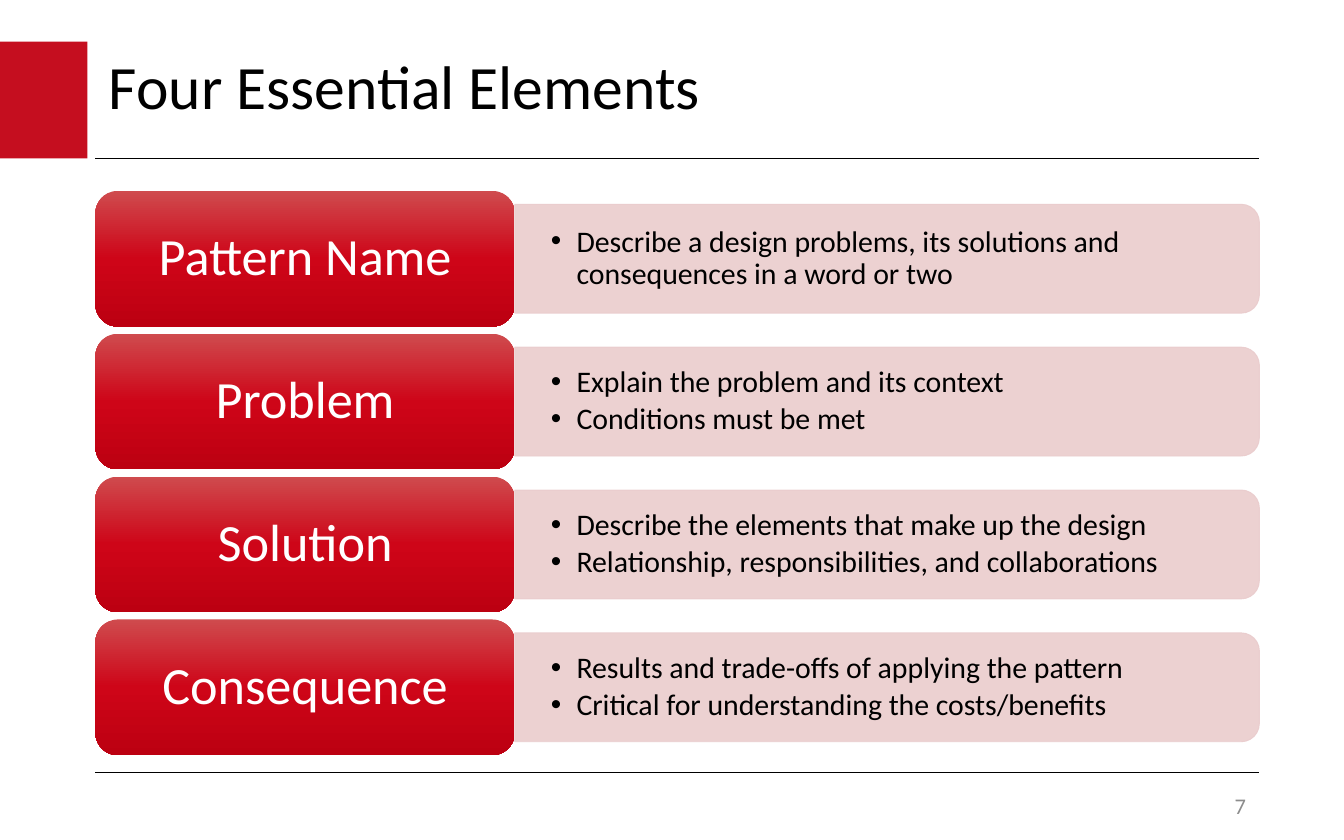
from pptx import Presentation
from pptx.dml.color import RGBColor
from pptx.enum.shapes import MSO_CONNECTOR as CONNECTOR, MSO_SHAPE as SHAPE
from pptx.enum.text import MSO_ANCHOR as ANCHOR, PP_ALIGN as ALIGN
from pptx.oxml import parse_xml
from pptx.oxml.ns import nsdecls
from pptx.util import Inches, Pt
from lxml.etree import SubElement

TITLE = "Four Essential Elements"
PAGE_NUMBER = "7"
ELEMENTS = [
    ("Pattern Name", ["Describe a design problems, its solutions and consequences in a word or two"]),
    ("Problem", ["Explain the problem and its context", "Conditions must be met"]),
    ("Solution", ["Describe the elements that make up the design",
                  "Relationship, responsibilities, and collaborations"]),
    ("Consequence", ["Results and trade-offs of applying the pattern",
                     "Critical for understanding the costs/benefits"]),
]
COLORS = {"accent": "C50E1F", "text": "000000", "label": "FFFFFF", "bar": "EACCCD", "number": "8C8C8C"}
LABEL_GRADIENT = [(0, "CF4B4E"), (50, "CE0518"), (100, "BC0011")]
FONT = "Calibri"

LEFT, RIGHT = 0.71, 9.37
FIRST_TOP, ROW_STEP = 1.42, 1.063
LABEL_WIDTH, LABEL_HEIGHT = 3.12, 1.01
BAR_HEIGHT, DETAIL_HEIGHT = 0.81, 0.73


def rgb(name):
    """Return the named colour."""
    return RGBColor.from_string(COLORS[name])


def write(shape, lines, size, color, align=ALIGN.LEFT, spacing=0.9, after=0,
          bullet=False, insets=(0.1, 0.05)):
    """Fill a shape with paragraphs in one format."""
    frame = shape.text_frame
    frame.word_wrap = True
    frame.vertical_anchor = ANCHOR.MIDDLE
    frame.margin_left = frame.margin_right = Inches(insets[0])
    frame.margin_top = frame.margin_bottom = Inches(insets[1])
    for index, line in enumerate(lines):
        para = frame.paragraphs[0] if index == 0 else frame.add_paragraph()
        para.alignment, para.line_spacing, para.space_after = align, spacing, Pt(after)
        span = para.add_run()
        span.text = line
        span.font.name, span.font.size = FONT, Pt(size)
        span.font.color.rgb = rgb(color)
        if bullet:
            props = para._p.get_or_add_pPr()
            props.set("marL", str(Inches(0.19)))
            props.set("indent", str(-Inches(0.19)))
            props.append(parse_xml(f'<a:buFont {nsdecls("a")} typeface="Arial"/>'))
            props.append(parse_xml(f'<a:buChar {nsdecls("a")} char="•"/>'))


def add_box(page, kind, left, top, width, height, color):
    """Add a flat shape without an outline."""
    box = page.shapes.add_shape(kind, Inches(left), Inches(top), Inches(width), Inches(height))
    box.shadow.inherit = False
    box.fill.solid()
    box.fill.fore_color.rgb = rgb(color)
    box.line.fill.background()
    return box


def add_text(page, left, top, width, height, lines, **style):
    """Add a text box."""
    box = page.shapes.add_textbox(Inches(left), Inches(top), Inches(width), Inches(height))
    write(box, lines, **style)


def add_rule(page, y):
    """Add a thin line across the content width."""
    rule = page.shapes.add_connector(CONNECTOR.STRAIGHT, Inches(LEFT), Inches(y), Inches(RIGHT), Inches(y))
    rule.line.color.rgb, rule.line.width = rgb("text"), Pt(0.75)
    rule._element.spPr.append(parse_xml(f'<a:effectLst {nsdecls("a")}/>'))


def shade(box):
    """Replace the fill with the vertical label gradient."""
    stops = "".join(f'<a:gs pos="{place * 1000}"><a:srgbClr val="{color}"/></a:gs>'
                    for place, color in LABEL_GRADIENT)
    gradient = parse_xml(f'<a:gradFill {nsdecls("a")} rotWithShape="1"><a:gsLst>{stops}</a:gsLst>'
                         '<a:lin ang="5400000" scaled="0"/></a:gradFill>')
    props = box._element.spPr
    solid = props.find(".//{*}solidFill")
    props.replace(solid, gradient)


def add_element(page, top, label, details):
    """Add one row: detail bar, its bullets and the label."""
    middle = top + LABEL_HEIGHT / 2
    split = LEFT + LABEL_WIDTH
    length = RIGHT - split
    bar = add_box(page, SHAPE.ROUND_2_SAME_RECTANGLE, (split + RIGHT - BAR_HEIGHT) / 2,
                  middle - length / 2, BAR_HEIGHT, length, "bar")
    bar.rotation = 90
    bar.line.color.rgb, bar.line.width = rgb("bar"), Pt(0.5)
    for color in bar._element.spPr.findall(".//{*}srgbClr"):
        SubElement(color, color.tag.replace("srgbClr", "alpha"), val="90000")
    add_text(page, split, middle - DETAIL_HEIGHT / 2, 5.5, DETAIL_HEIGHT, details, size=16,
             color="text", after=2.4, bullet=True, insets=(0.27, 0.14))
    card = add_box(page, SHAPE.ROUNDED_RECTANGLE, LEFT, top, LABEL_WIDTH, LABEL_HEIGHT, "accent")
    shade(card)
    write(card, [label], size=28, color="label", align=ALIGN.CENTER, insets=(0.17, 0.11))


deck = Presentation()
deck.slide_width, deck.slide_height = Inches(10), Inches(6.25)
page = deck.slides.add_slide(deck.slide_layouts[5])

add_box(page, SHAPE.RECTANGLE, 0, 0.31, 0.65, 0.87, "accent")
for y in (1.18, 5.75):
    add_rule(page, y)

title = page.shapes.title
title.left, title.top, title.width, title.height = map(Inches, (LEFT, 0.31, RIGHT - LEFT, 0.71))
write(title, [TITLE], size=33, color="text")

for row, (label, details) in enumerate(ELEMENTS):
    add_element(page, FIRST_TOP + row * ROW_STEP, label, details)

add_text(page, RIGHT - 2.03, 5.87, 2.03, 0.25, [PAGE_NUMBER], size=12, color="number",
         align=ALIGN.RIGHT, spacing=1.0)

deck.save("out.pptx")
